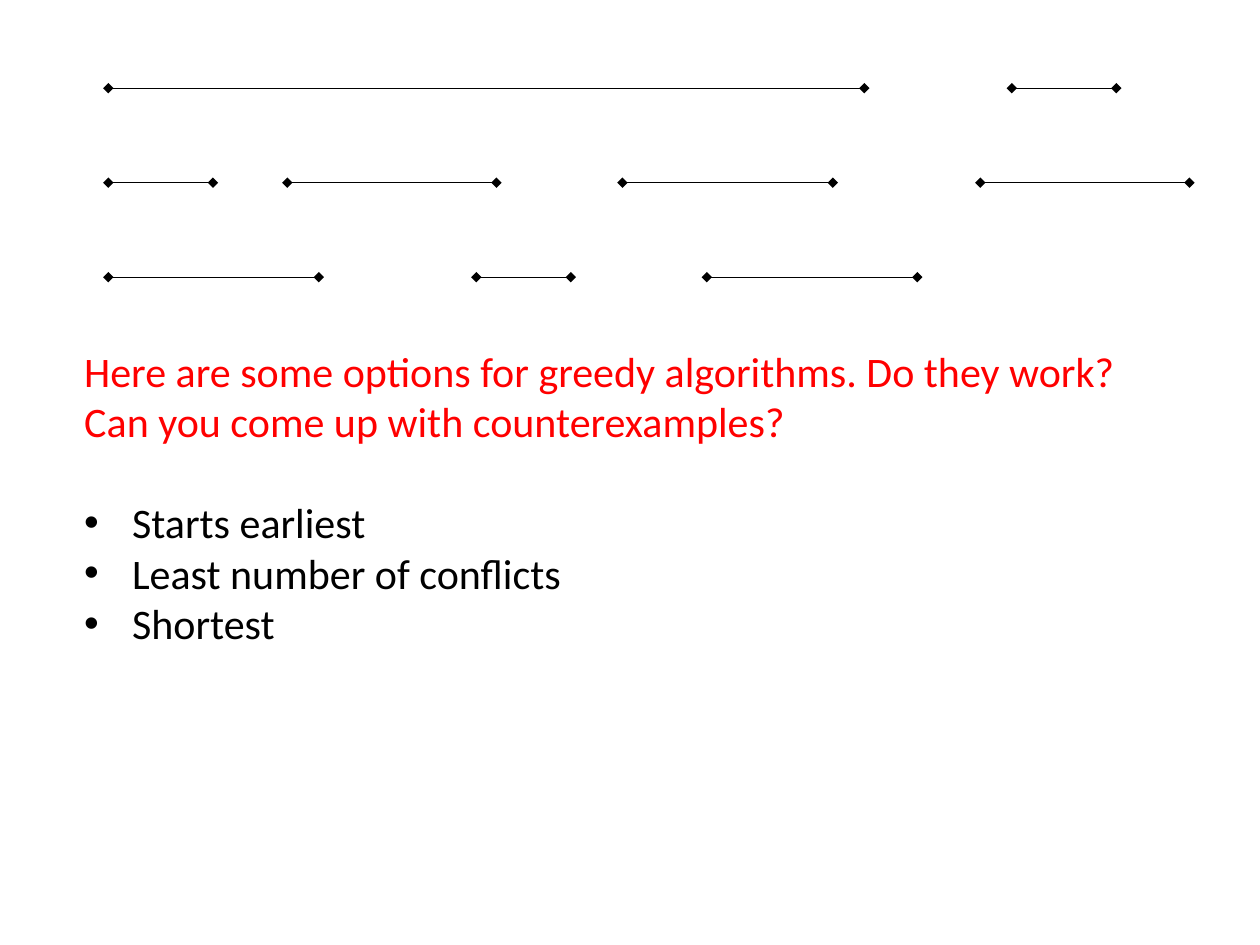
"""Build a slide of time intervals with candidate greedy rules for scheduling them."""
import dataclasses

import pptx
import pptx.dml.color
import pptx.enum.shapes
import pptx.enum.text
import pptx.oxml.ns
import pptx.util
from lxml import etree
from pptx.util import Inches


@dataclasses.dataclass(frozen=True)
class Theme:
    font: str = "Calibri"
    bullet_font: str = "Arial"
    question: str = "FF0000"
    ink: str = "000000"
    text_size: float = 24
    line_width: float = 0.75


theme = Theme()
qn = pptx.oxml.ns.qn


def write(frame, text, *, color, first=False, bullet=False, space_after=0):
    para = frame.paragraphs[0] if first else frame.add_paragraph()
    para.space_after = pptx.util.Pt(space_after)
    span = para.add_run()
    span.text = text
    span.font.name = theme.font
    span.font.size = pptx.util.Pt(theme.text_size)
    span.font.color.rgb = pptx.dml.color.RGBColor.from_string(color)
    if bullet:
        properties = para._p.get_or_add_pPr()
        properties.set("marL", str(Inches(0.38)))
        properties.set("indent", str(-Inches(0.38)))
        etree.SubElement(properties, qn("a:buFont"), typeface=theme.bullet_font)
        etree.SubElement(properties, qn("a:buChar"), char="•")


deck = pptx.Presentation()
deck.slide_width, deck.slide_height = Inches(10), Inches(7.5)
page = deck.slides.add_slide(deck.slide_layouts[6])

interval_rows = [
    [(0.86, 6.86), (8.03, 8.86)],
    [(0.86, 1.69), (2.28, 3.94), (4.94, 6.61), (7.78, 9.44)],
    [(0.86, 2.53), (3.78, 4.53), (5.61, 7.28)],
]
for row, intervals in enumerate(interval_rows):
    y = Inches(0.7 + 0.75 * row)
    for start, finish in intervals:
        interval = page.shapes.add_connector(
            pptx.enum.shapes.MSO_CONNECTOR.STRAIGHT, Inches(start), y, Inches(finish), y
        )
        interval.line.width = pptx.util.Pt(theme.line_width)
        interval.line.color.rgb = pptx.dml.color.RGBColor.from_string(theme.ink)
        for end in ("a:headEnd", "a:tailEnd"):
            etree.SubElement(interval.line._get_or_add_ln(), qn(end), type="diamond")
        etree.SubElement(interval._element.spPr, qn("a:effectLst"))

box = page.shapes.add_textbox(Inches(0.57), Inches(2.69), Inches(8.48), Inches(2.93))
frame = box.text_frame
frame.word_wrap = True
frame.auto_size = pptx.enum.text.MSO_AUTO_SIZE.SHAPE_TO_FIT_TEXT
write(
    frame,
    "Here are some options for greedy algorithms. Do they work? Can you come up with counterexamples?",
    color=theme.question,
    first=True,
    space_after=29,
)
for rule in ("Starts earliest", "Least number of conflicts", "Shortest"):
    write(frame, rule, color=theme.ink, bullet=True)

deck.save("out.pptx")
